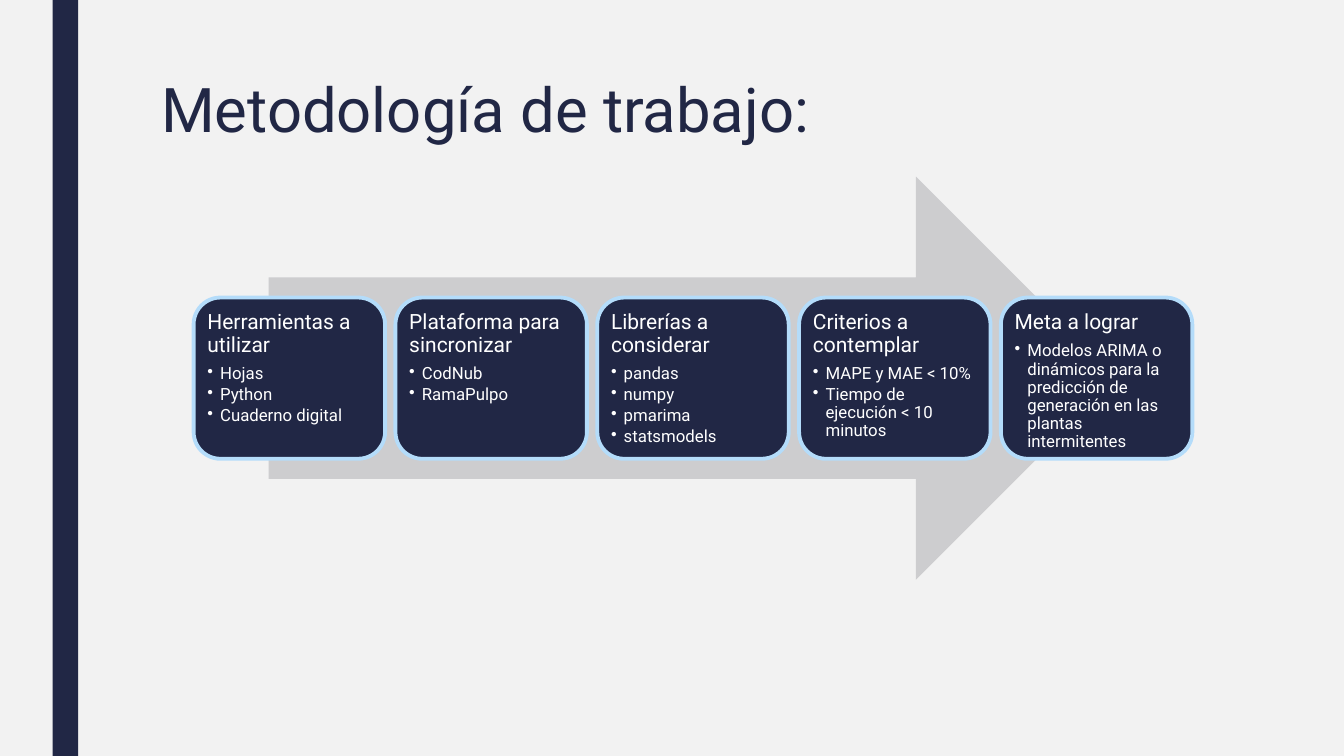
from dataclasses import dataclass

from lxml.etree import SubElement
from pptx import Presentation
from pptx.dml.color import RGBColor as RGB
from pptx.enum.shapes import MSO_SHAPE as Shape
from pptx.enum.text import MSO_ANCHOR as Anchor, PP_ALIGN as Align
from pptx.oxml.ns import qn
from pptx.util import Cm, Pt


@dataclass(frozen=True)
class Theme:
    font: str = "Roboto"
    background: RGB = RGB.from_string("F2F2F2")
    navy: RGB = RGB.from_string("212745")
    arrow: RGB = RGB.from_string("CDCDCF")
    outline: RGB = RGB.from_string("B4DCFA")
    white: RGB = RGB.from_string("FFFFFF")
    title_size: float = 44
    heading_size: float = 15
    item_size: float = 12
    outline_width: float = 2.75


THEME = Theme()
STEPS = [
    ("Herramientas a utilizar", ["Hojas", "Python", "Cuaderno digital"]),
    ("Plataforma para sincronizar", ["CodNub", "RamaPulpo"]),
    ("Librerías a considerar", ["pandas", "numpy", "pmarima", "statsmodels"]),
    ("Criterios a contemplar",
     ["MAPE y MAE < 10%", "Tiempo de ejecución < 10 minutos"]),
    ("Meta a lograr",
     ["Modelos ARIMA o dinámicos para la predicción de generación "
      "en las plantas intermitentes"]),
]


def add_bullet(paragraph, indent):
    properties = paragraph._p.get_or_add_pPr()
    properties.set("marL", str(indent))
    properties.set("indent", str(-indent))
    SubElement(properties, qn("a:buChar")).set("char", "•")


def write(paragraph, text, *, size, color, line_spacing=0.9, after=0, bullet=False):
    paragraph.alignment = Align.LEFT
    paragraph.line_spacing = line_spacing
    paragraph.space_before = Pt(0)
    paragraph.space_after = Pt(after)
    if bullet:
        paragraph.level = 1
        add_bullet(paragraph, Cm(0.32))
    run = paragraph.add_run()
    run.text = text
    run.font.name = THEME.font
    run.font.size = Pt(size)
    run.font.color.rgb = color


def add_filled(slide, kind, box, fill, outline=None):
    shape = slide.shapes.add_shape(kind, *box)
    shape.shadow.inherit = False
    shape.fill.solid()
    shape.fill.fore_color.rgb = fill
    if outline is None:
        shape.line.fill.background()
    else:
        shape.line.color.rgb = outline
        shape.line.width = Pt(THEME.outline_width)
    return shape


def add_title(slide, box, text):
    frame = slide.shapes.add_textbox(*box).text_frame
    frame.word_wrap = True
    frame.vertical_anchor = Anchor.TOP
    write(frame.paragraphs[0], text, size=THEME.title_size, color=THEME.navy,
          line_spacing=0.89)


def add_card(slide, box, heading, items):
    card = add_filled(slide, Shape.ROUNDED_RECTANGLE, box, THEME.navy, THEME.outline)
    frame = card.text_frame
    frame.word_wrap = True
    frame.vertical_anchor = Anchor.TOP
    frame.margin_left = frame.margin_right = Cm(0.15)
    frame.margin_top = frame.margin_bottom = Cm(0.15)
    write(frame.paragraphs[0], heading, size=THEME.heading_size,
          color=THEME.white, after=6)
    for item in items:
        write(frame.add_paragraph(), item, size=THEME.item_size,
              color=THEME.white, after=2, bullet=True)


def add_process(slide, box, steps):
    """Place equal cards in a row across an arrow that fills 85% of the box."""
    left, top, width, height = box
    arrow_width = int(width * 0.85)
    add_filled(slide, Shape.RIGHT_ARROW,
               (left + (width - arrow_width) // 2, top, arrow_width, height),
               THEME.arrow)
    gap = Cm(0.26)
    card_width = (width - gap * (len(steps) - 1)) // len(steps)
    card_height = int(height * 0.4)
    card_top = top + (height - card_height) // 2
    for index, (heading, items) in enumerate(steps):
        card_left = left + index * (card_width + gap)
        add_card(slide, (card_left, card_top, card_width, card_height), heading, items)


def main():
    presentation = Presentation()
    presentation.slide_width = Cm(33.87)
    presentation.slide_height = Cm(19.05)
    slide = presentation.slides.add_slide(presentation.slide_layouts[6])
    slide.background.fill.solid()
    slide.background.fill.fore_color.rgb = THEME.background
    add_filled(slide, Shape.RECTANGLE,
               (Cm(1.33), 0, Cm(0.64), presentation.slide_height), THEME.navy)
    add_title(slide, (Cm(3.81), Cm(1.9), Cm(26.67), Cm(4.11)),
              "Metodología de trabajo:")
    add_process(slide, (Cm(4.88), Cm(4.45), Cm(25.17), Cm(10.16)), STEPS)
    presentation.save("out.pptx")


if __name__ == "__main__":
    main()
